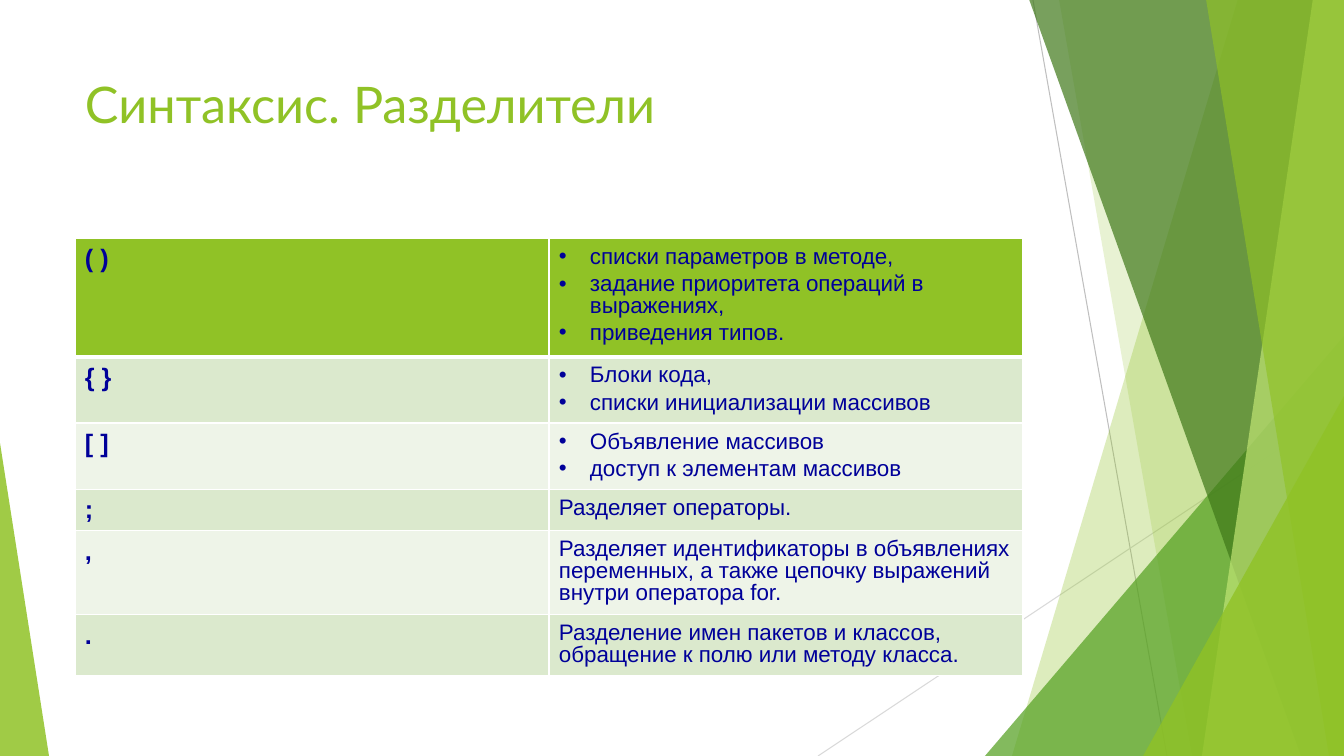
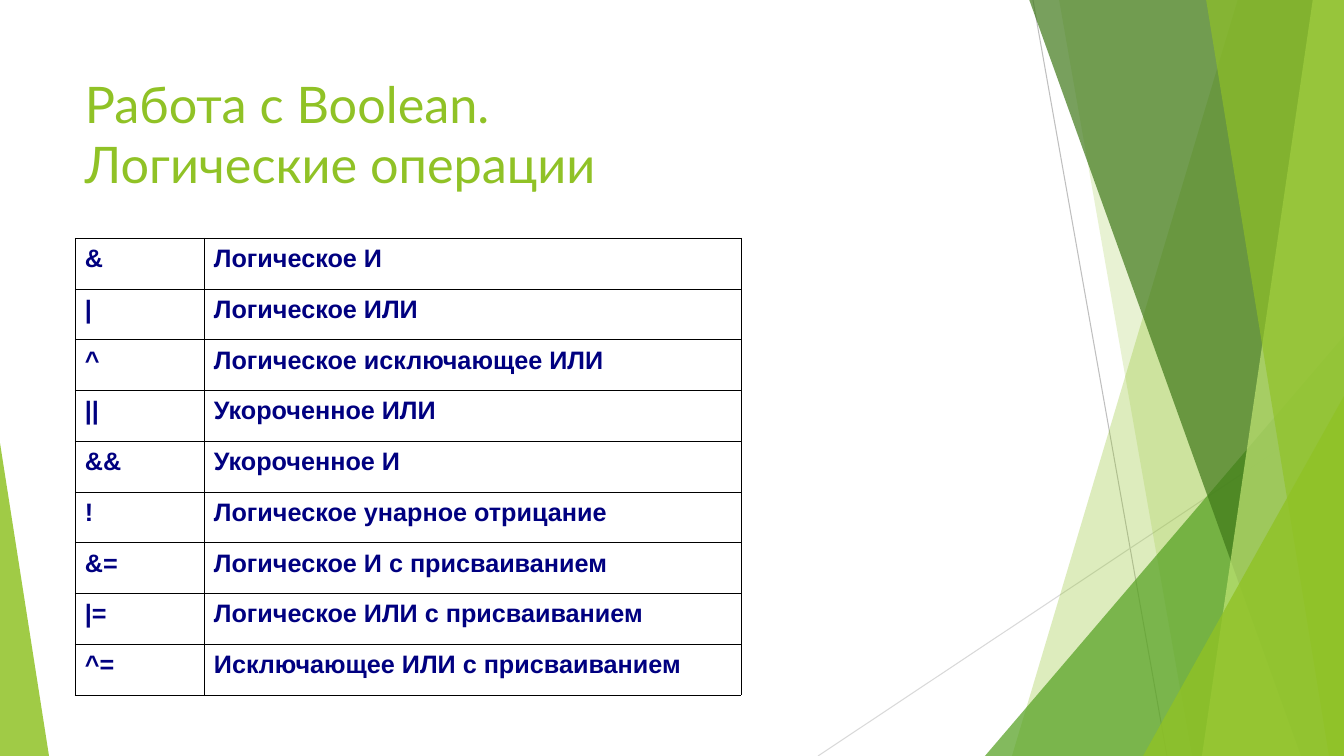
from lxml import etree
from pptx import Presentation
from pptx.dml.color import RGBColor
from pptx.enum.shapes import MSO_CONNECTOR, MSO_SHAPE
from pptx.enum.text import MSO_ANCHOR
from pptx.oxml.ns import qn
from pptx.util import Pt

SCALE = 914400 / 100.8
WIDTH, HEIGHT = 1344, 756
LEFT, TABLE_TOP = 75, 238
CONTENT_WIDTH = 948
BULLET_INDENT = 31
TRIANGLE = MSO_SHAPE.ISOSCELES_TRIANGLE
STRAIGHT = MSO_CONNECTOR.STRAIGHT
TOP = MSO_ANCHOR.TOP

COLORS = {
    "lime": "90C226",
    "green": "54A021",
    "forest": "3F7819",
    "pale_lime": "C0E474",
    "gray": "BFBFBF",
    "light_gray": "D9D9D9",
    "white": "FFFFFF",
    "black": "000000",
    "band_dark": "DBE9CD",
    "band_light": "EEF4E8",
    "blue": "000099",
    "navy": "000080",
}

RAYS = [
    ((1033, 0), (1167, HEIGHT), "gray"),
    ((WIDTH, 406), (818, HEIGHT), "light_gray"),
]

SEPARATORS = [
    ("( )", ["списки параметров в методе,",
             "задание приоритета операций в выражениях,",
             "приведения типов."], 111),
    ("{ }", ["Блоки кода,", "списки инициализации массивов"], 64),
    ("[ ]", ["Объявление массивов", "доступ к элементам массивов"], 63),
    (";", ["Разделяет операторы."], 41),
    (",", ["Разделяет идентификаторы в объявлениях переменных, "
           "а также цепочку выражений внутри оператора for."], 80),
    (".", ["Разделение имен пакетов и классов, "
           "обращение к полю или методу класса."], 57),
]

OPERATIONS = [
    ("&", "Логическое И"),
    ("|", "Логическое ИЛИ"),
    ("^", "Логическое исключающее ИЛИ"),
    ("||", "Укороченное ИЛИ"),
    ("&&", "Укороченное И"),
    ("!", "Логическое унарное отрицание"),
    ("&=", "Логическое И с присваиванием"),
    ("|=", "Логическое ИЛИ с присваиванием"),
    ("^=", "Исключающее ИЛИ с присваиванием"),
]


def px(length):
    return round(length * SCALE)


def rgb(color):
    return RGBColor.from_string(COLORS[color])


def style_runs(paragraph, size, font, color, bold=False):
    for run in paragraph.runs:
        run.font.size = Pt(size)
        run.font.name = font
        run.font.bold = bold
        run.font.color.rgb = rgb(color)


def paint(shape, color, opacity):
    shape.shadow.inherit = False
    shape.line.fill.background()
    shape.fill.solid()
    shape.fill.fore_color.rgb = rgb(color)
    tint = next(shape.fill._xPr.iter(qn("a:srgbClr")))
    etree.SubElement(tint, qn("a:alpha"), val=str(opacity * 1000))


def add_ray(slide, start, end, color):
    ray = slide.shapes.add_connector(STRAIGHT, *map(px, start + end))
    ray.line.color.rgb = rgb(color)
    ray.line.width = Pt(0.75)
    etree.SubElement(ray._element.spPr, qn("a:effectLst"))


def add_facet(slide, top_x, bottom_x, color, opacity):
    corners = [(top_x, -1), (WIDTH, -1), (WIDTH, HEIGHT), (bottom_x, HEIGHT)]
    corners = [(px(x), px(y)) for x, y in corners]
    outline = slide.shapes.build_freeform(*corners[0], scale=1.0)
    outline.add_line_segments(corners[1:], close=True)
    paint(outline.convert_to_shape(), color, opacity)


def add_wedge(slide, left, top, width, apex, color, opacity):
    wedge = slide.shapes.add_shape(
        TRIANGLE, px(left), px(top), px(width), px(HEIGHT - top))
    wedge.adjustments[0] = apex
    paint(wedge, color, opacity)


def add_backdrop(slide):
    for start, end, color in RAYS:
        add_ray(slide, start, end, color)
    add_facet(slide, 1238, 1012, "lime", 30)
    add_facet(slide, 1059, 1192, "lime", 20)
    add_wedge(slide, 985, 336, 359, 1, "green", 72)
    add_facet(slide, 1029, 1301, "forest", 70)
    add_facet(slide, 1313, 1202, "pale_lime", 70)
    add_facet(slide, 1206, 1329, "lime", 65)
    add_wedge(slide, 1143, 396, 201, 1, "lime", 80)
    add_wedge(slide, 0, 443, 49, 0, "lime", 85)


def add_title(slide, text):
    title = slide.shapes.add_textbox(px(LEFT), px(68), px(CONTENT_WIDTH), px(145))
    frame = title.text_frame
    frame.word_wrap = True
    frame.vertical_anchor = TOP
    frame.text = text
    style_runs(frame.paragraphs[0], 36, "Lato", "lime")


def add_slide(deck, title):
    slide = deck.slides.add_slide(deck.slide_layouts[6])
    add_backdrop(slide)
    add_title(slide, title)
    return slide


def add_grid(slide, column_widths, row_heights):
    table = slide.shapes.add_table(
        len(row_heights), len(column_widths), px(LEFT), px(TABLE_TOP),
        px(sum(column_widths)), px(sum(row_heights))).table
    table.first_row = False
    table.horz_banding = False
    for column, width in zip(table.columns, column_widths):
        column.width = px(width)
    for row, height in zip(table.rows, row_heights):
        row.height = px(height)
    return table


def add_bullet(paragraph):
    props = paragraph._p.get_or_add_pPr()
    props.set("marL", str(px(BULLET_INDENT)))
    props.set("indent", str(-px(BULLET_INDENT)))
    etree.SubElement(props, qn("a:buFont"), typeface="Arial")
    etree.SubElement(props, qn("a:buChar"), char="•")


def fill_cell(cell, lines, size, color, bold, space_before=0, top_margin=10):
    cell.margin_left = cell.margin_right = px(10)
    cell.margin_top = px(top_margin)
    cell.margin_bottom = px(5)
    cell.vertical_anchor = TOP
    cell.text_frame.text = "\n".join(lines)
    for paragraph in cell.text_frame.paragraphs:
        paragraph.line_spacing = 0.87
        paragraph.space_before = Pt(space_before)
        style_runs(paragraph, size, "Arial", color, bold)
        if len(lines) > 1:
            add_bullet(paragraph)


def set_borders(cell, color, width, top=None, bottom=None):
    props = cell._tc.get_or_add_tcPr()
    sides = {"L": width, "R": width, "T": top or width, "B": bottom or width}
    for position, (side, weight) in enumerate(sides.items()):
        border = etree.Element(qn(f"a:ln{side}"), w=str(Pt(weight)))
        solid = etree.SubElement(border, qn("a:solidFill"))
        etree.SubElement(solid, qn("a:srgbClr"), val=COLORS[color])
        props.insert(position, border)


def add_separators_table(slide):
    half = CONTENT_WIDTH // 2
    table = add_grid(slide, [half, half], [height for _, _, height in SEPARATORS])
    for index, (sign, uses, _) in enumerate(SEPARATORS):
        sign_cell, uses_cell = table.cell(index, 0), table.cell(index, 1)
        fill_cell(sign_cell, [sign], 18, "blue", True, 4.5)
        fill_cell(uses_cell, uses, 16, "blue", False, 4, top_margin=9)
        band = "band_dark" if index % 2 else "band_light"
        for cell in (sign_cell, uses_cell):
            cell.fill.solid()
            cell.fill.fore_color.rgb = rgb(band if index else "lime")
            set_borders(cell, "white", 1,
                        top=3 if index == 1 else None,
                        bottom=3 if index == 0 else None)


def add_operations_table(slide):
    row_height = 457 / len(OPERATIONS)
    table = add_grid(slide, [129, 537], [row_height] * len(OPERATIONS))
    for row, texts in zip(table.rows, OPERATIONS):
        for cell, text in zip(row.cells, texts):
            fill_cell(cell, [text], 18, "navy", True)
            cell.fill.background()
            set_borders(cell, "black", 0.23)


def main():
    deck = Presentation()
    deck.slide_width, deck.slide_height = px(WIDTH), px(HEIGHT)
    add_separators_table(add_slide(deck, "Синтаксис. Разделители"))
    add_operations_table(
        add_slide(deck, "Работа с Boolean.\vЛогические операции"))
    deck.save("out.pptx")


main()
